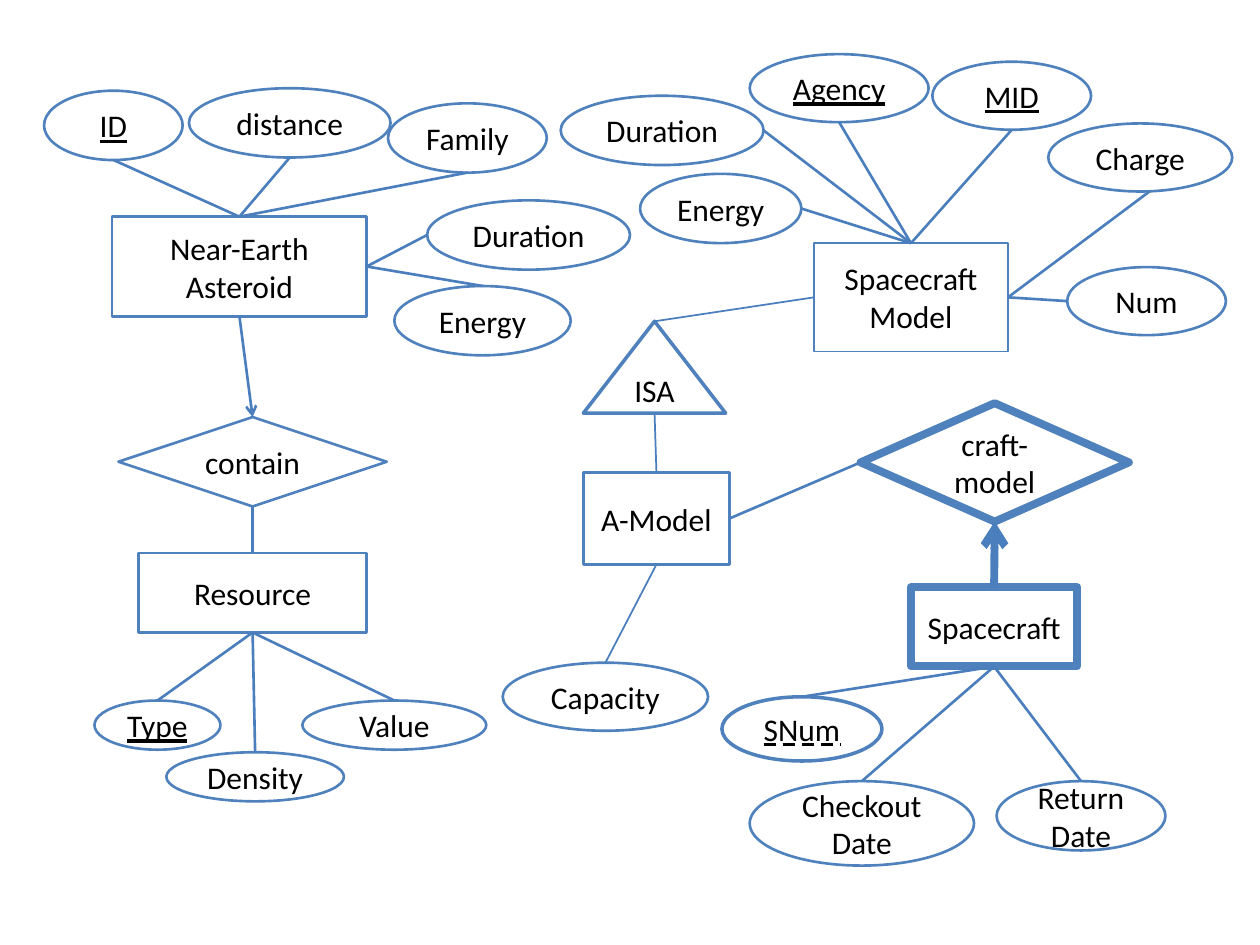
from lxml import etree
from pptx import Presentation
from pptx.dml.color import RGBColor
from pptx.enum.shapes import MSO_CONNECTOR, MSO_SHAPE
from pptx.enum.text import MSO_ANCHOR, MSO_UNDERLINE, PP_ALIGN
from pptx.oxml.ns import qn
from pptx.util import Inches, Pt

RECTANGLE = MSO_SHAPE.RECTANGLE
ELLIPSE = MSO_SHAPE.OVAL
DIAMOND = MSO_SHAPE.FLOWCHART_DECISION
TRIANGLE = MSO_SHAPE.ISOSCELES_TRIANGLE
STRAIGHT = MSO_CONNECTOR.STRAIGHT
MIDDLE = MSO_ANCHOR.MIDDLE
CENTER = PP_ALIGN.CENTER
DASHED = MSO_UNDERLINE.DASH_LINE

FONT = "Calibri"
OUTLINE, LINK, WHITE, BLACK = "4F81BD", "4B7EBC", "FFFFFF", "000000"

SIDES = {
    "top": (0.5, 0),
    "bottom": (0.5, 1),
    "left": (0, 0.5),
    "right": (1, 0.5),
    "low right": (0.55, 1),
}

ENTITIES = {
    "asteroid": (RECTANGLE, "Near-Earth Asteroid", (0.89, 1.72, 2.02, 0.79), 1.5),
    "model": (RECTANGLE, "Spacecraft Model", (6.46, 1.93, 1.54, 0.86), 1),
    "resource": (RECTANGLE, "Resource", (1.1, 4.39, 1.81, 0.63), 1.5),
    "a-model": (RECTANGLE, "A-Model", (4.63, 3.75, 1.16, 0.73), 2),
    "spacecraft": (RECTANGLE, "Spacecraft", (7.23, 4.66, 1.32, 0.63), 4.5),
    "contain": (DIAMOND, "contain", (0.94, 3.31, 2.13, 0.71), 1.5),
    "craft-model": (DIAMOND, "craft-model", (6.83, 3.2, 2.13, 0.94), 4.5),
    "isa": (TRIANGLE, "ISA", (4.63, 2.55, 1.13, 0.73), 2),
}

ATTRIBUTES = [
    ("ID", (0.35, 0.72, 1.1, 0.55), True, "bottom", "asteroid", "top"),
    ("distance", (1.5, 0.7, 1.6, 0.55), False, "bottom", "asteroid", "top"),
    ("Family", (3.08, 0.82, 1.26, 0.55), False, "bottom", "asteroid", "top"),
    ("Duration", (3.39, 1.59, 1.61, 0.55), False, "left", "asteroid", "right"),
    ("Energy", (3.13, 2.27, 1.4, 0.55), False, "top", "asteroid", "right"),
    ("MID", (7.4, 0.49, 1.26, 0.54), True, "bottom", "model", "top"),
    ("Agency", (5.95, 0.43, 1.42, 0.54), True, "bottom", "model", "top"),
    ("Duration", (4.45, 0.76, 1.61, 0.55), False, "right", "model", "top"),
    ("Energy", (5.08, 1.38, 1.28, 0.55), False, "right", "model", "top"),
    ("Charge", (8.32, 0.98, 1.46, 0.54), False, "low right", "model", "right"),
    ("Num", (8.47, 2.12, 1.26, 0.54), False, "left", "model", "right"),
    ("Type", (0.75, 5.56, 1, 0.39), True, "top", "resource", "bottom"),
    ("Density", (1.32, 5.97, 1.41, 0.39), False, "top", "resource", "bottom"),
    ("Value", (2.4, 5.56, 1.46, 0.39), False, "top", "resource", "bottom"),
    ("Capacity", (3.99, 5.26, 1.63, 0.54), False, "top", "a-model", "bottom"),
    ("SNum", (5.73, 5.53, 1.27, 0.51), DASHED, "top", "spacecraft", "bottom"),
    ("Checkout Date", (5.95, 6.2, 1.78, 0.67), False, "top", "spacecraft", "bottom"),
    ("Return Date", (7.91, 6.2, 1.34, 0.55), False, "top", "spacecraft", "bottom"),
]

RELATIONS = [
    ("asteroid", "bottom", "contain", "top", 1.5, True),
    ("contain", "bottom", "resource", "top", 1.5, False),
    ("model", "left", "isa", "top", 1, False),
    ("isa", "bottom", "a-model", "top", 1, False),
    ("craft-model", "left", "a-model", "right", 1.5, False),
    ("spacecraft", "top", "craft-model", "bottom", 4.5, True),
]


def color(value):
    """Return the colour for a hex string."""
    return RGBColor.from_string(value)


def add_node(slide, kind, text, box, width, underline=False):
    """Add an outlined shape with a centred label."""
    shape = slide.shapes.add_shape(kind, *map(Inches, box))
    shape.shadow.inherit = False
    shape.fill.solid()
    shape.fill.fore_color.rgb = color(WHITE)
    shape.line.color.rgb = color(OUTLINE)
    shape.line.width = Pt(width)
    frame = shape.text_frame
    frame.word_wrap = True
    frame.vertical_anchor = MIDDLE
    paragraph = frame.paragraphs[0]
    paragraph.alignment = CENTER
    run = paragraph.add_run()
    run.text = text
    run.font.name = FONT
    run.font.size = Pt(18)
    run.font.color.rgb = color(BLACK)
    if underline:
        run.font.underline = underline
    return shape


def side_point(shape, side):
    """Return the point on the named side of a shape."""
    across, down = SIDES[side]
    return (
        int(shape.left + across * shape.width),
        int(shape.top + down * shape.height),
    )


def add_link(slide, start, end, width, arrow=False):
    """Add a straight line between two points, with an optional arrowhead."""
    connector = slide.shapes.add_connector(STRAIGHT, *start, *end)
    connector.line.color.rgb = color(LINK)
    connector.line.width = Pt(width)
    if arrow:
        outline = connector.line._get_or_add_ln()
        etree.SubElement(outline, qn("a:tailEnd"), type="arrow")
    etree.SubElement(connector._element.spPr, qn("a:effectLst"))


def main():
    """Build the entity-relationship diagram."""
    presentation = Presentation()
    presentation.slide_width = Inches(10)
    presentation.slide_height = Inches(7.5)
    slide = presentation.slides.add_slide(presentation.slide_layouts[6])

    entities = {name: add_node(slide, *node) for name, node in ENTITIES.items()}
    for text, box, underline, side, owner, owner_side in ATTRIBUTES:
        attribute = add_node(slide, ELLIPSE, text, box, 1.5 if underline != DASHED else 2, underline)
        start = side_point(attribute, side)
        end = side_point(entities[owner], owner_side)
        add_link(slide, start, end, 1 if owner == "a-model" else 1.5)
    for source, source_side, target, target_side, width, arrow in RELATIONS:
        start = side_point(entities[source], source_side)
        end = side_point(entities[target], target_side)
        add_link(slide, start, end, width, arrow)

    presentation.save("out.pptx")


main()
